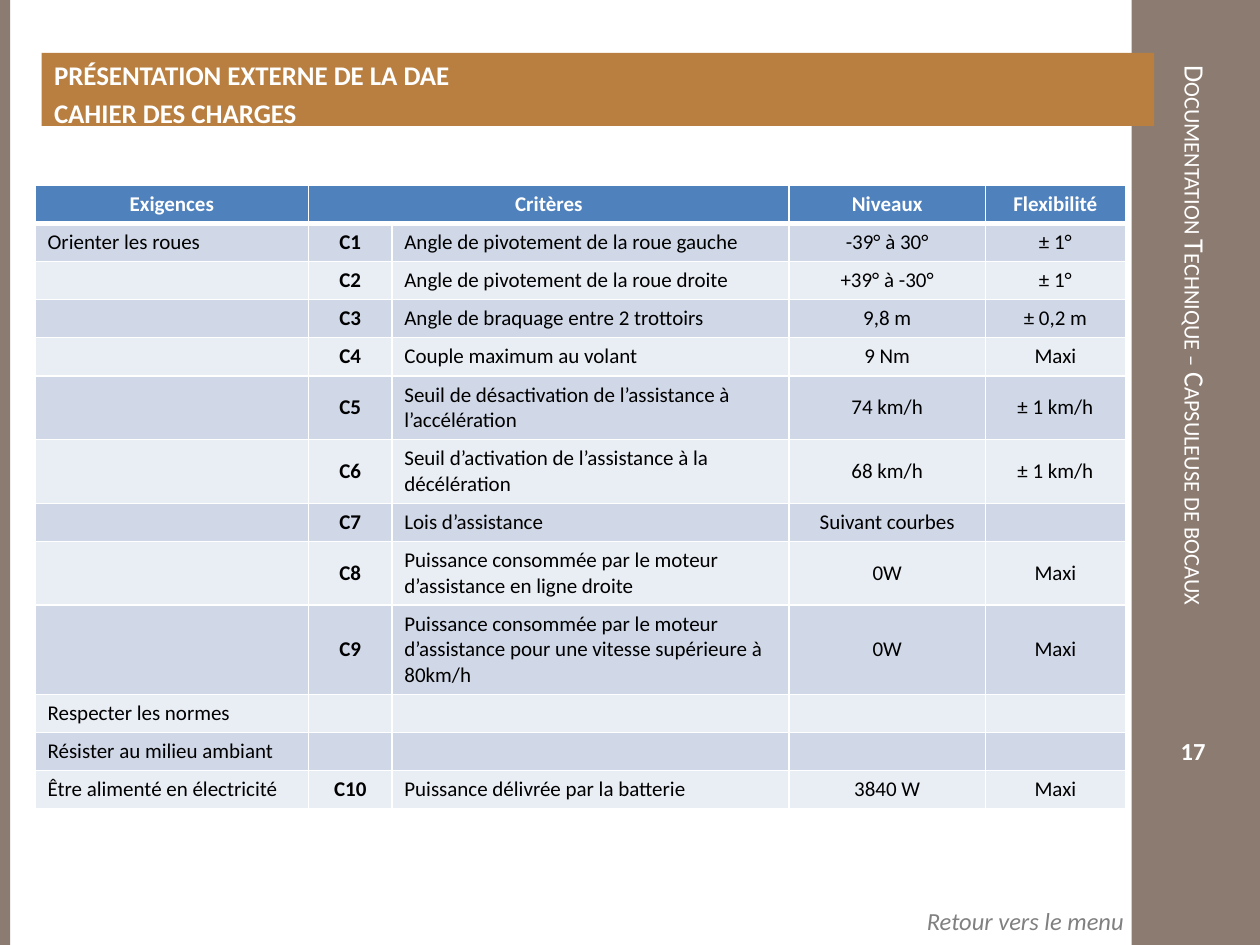
from lxml import etree
from pptx import Presentation
from pptx.dml.color import RGBColor
from pptx.enum.shapes import MSO_SHAPE
from pptx.enum.text import MSO_ANCHOR, PP_ALIGN
from pptx.oxml.ns import qn
from pptx.util import Pt

RECT = MSO_SHAPE.RECTANGLE
TOP, MIDDLE = MSO_ANCHOR.TOP, MSO_ANCHOR.MIDDLE
LEFT, CENTER, RIGHT = PP_ALIGN.LEFT, PP_ALIGN.CENTER, PP_ALIGN.RIGHT

WHITE, BLACK, GREY = "FFFFFF", "000000", "808080"
BROWN, OCHRE, BLUE = "8C7B70", "B87F40", "4F81BD"
BANDS = ("D0D8E8", "E9EDF4")
COL_WIDTHS = (156.4, 47.5, 227, 112.2, 80)
COL_ALIGN = (LEFT, CENTER, LEFT, CENTER, CENTER)
HEADERS = ("Exigences", "Critères", "", "Niveaux", "Flexibilité")
# Each row: text line count, then the five cells
ROWS = (
    (1, "Orienter les roues", "C1", "Angle de pivotement de la roue gauche", "-39° à 30°", "± 1°"),
    (1, "", "C2", "Angle de pivotement de la roue droite", "+39° à -30°", "± 1°"),
    (1, "", "C3", "Angle de braquage entre 2 trottoirs", "9,8 m", "± 0,2 m"),
    (1, "", "C4", "Couple maximum au volant", "9 Nm", "Maxi"),
    (2, "", "C5", "Seuil de désactivation de l’assistance à l’accélération", "74 km/h", "± 1 km/h"),
    (2, "", "C6", "Seuil d’activation de l’assistance à la décélération", "68 km/h", "± 1 km/h"),
    (1, "", "C7", "Lois d’assistance", "Suivant courbes", ""),
    (2, "", "C8", "Puissance consommée par le moteur d’assistance en ligne droite", "0W", "Maxi"),
    (3, "", "C9", "Puissance consommée par le moteur d’assistance pour une vitesse supérieure à 80km/h",
     "0W", "Maxi"),
    (1, "Respecter les normes", "", "", "", ""),
    (1, "Résister au milieu ambiant", "", "", "", ""),
    (1, "Être alimenté en électricité", "C10", "Puissance délivrée par la batterie", "3840 W", "Maxi"),
)


def rgb(value):
    return RGBColor.from_string(value)


def write(p, text, color, align=LEFT, **fmt):
    p.alignment = align
    r = p.add_run()
    r.text = text
    r.font.color.rgb = rgb(color)
    for name, value in {"name": "Calibri", **fmt}.items():
        setattr(r.font, name, value)
    return r


def add_rect(slide, box, color):
    sp = slide.shapes.add_shape(RECT, *map(Pt, box))
    sp.shadow.inherit = False
    sp.fill.solid()
    sp.fill.fore_color.rgb = rgb(color)
    sp.line.fill.background()
    return sp


def add_text(slide, box, text, color, anchor=MIDDLE, align=LEFT, **fmt):
    tf = slide.shapes.add_textbox(*map(Pt, box)).text_frame
    tf.word_wrap = True
    tf.vertical_anchor = anchor
    return tf, write(tf.paragraphs[0], text, color, align, **fmt)


def add_sidebar(slide, box):
    x, y, w, h = box
    add_rect(slide, box, BROWN)
    # Document name, turned to read downwards
    tf, r = add_text(slide, (x, y + 30.2, 73.4, 462.2),
                     "Documentation Technique – Capsuleuse de bocaux", WHITE, size=Pt(16))
    tf._txBody.bodyPr.set("vert", "vert")
    r._r.get_or_add_rPr().set("cap", "small")
    # Page number
    add_text(slide, (x - 2.9, y + 417.6, 76.3, 22.3), "17", WHITE,
             align=CENTER, size=Pt(14), bold=True)


def add_title(slide, box, lines):
    tf = add_rect(slide, box, OCHRE).text_frame
    tf.word_wrap = True
    tf.vertical_anchor = TOP
    for i, line in enumerate(lines):
        p = tf.add_paragraph() if i else tf.paragraphs[0]
        p.space_before = Pt(3)
        write(p, line, WHITE, size=Pt(15.4), bold=True)


def set_borders(cell, widths):
    tcPr = cell._tc.get_or_add_tcPr()
    for side, width in zip("LRTB", widths):
        ln = etree.SubElement(tcPr, qn(f"a:ln{side}"), w=str(Pt(width)))
        fill = etree.SubElement(ln, qn("a:solidFill"))
        etree.SubElement(fill, qn("a:srgbClr"), val=WHITE)


def fill_cell(cell, text, fill, borders, color, align, bold):
    set_borders(cell, borders)
    cell.fill.solid()
    cell.fill.fore_color.rgb = rgb(fill)
    cell.vertical_anchor = MIDDLE
    p = cell.text_frame.paragraphs[0]
    if text:
        write(p, text, color, align, size=Pt(12), bold=bold)
    else:
        etree.SubElement(p._p, qn("a:endParaRPr"), sz="1200")


def add_requirements(slide, box):
    tbl = slide.shapes.add_table(len(ROWS) + 1, len(COL_WIDTHS), *map(Pt, box)).table
    tbl.horz_banding = False
    for col, width in zip(tbl.columns, COL_WIDTHS):
        col.width = Pt(width)
    # Header
    tbl.rows[0].height = Pt(21.8)
    for j, text in enumerate(HEADERS):
        fill_cell(tbl.cell(0, j), text, BLUE, (1, 1, 1, 3), WHITE, CENTER, True)
    tbl.cell(0, 1).merge(tbl.cell(0, 2))
    # Body
    for i, (lines, *texts) in enumerate(ROWS, 1):
        tbl.rows[i].height = Pt(7.2 + 14.6 * lines)
        borders = (1, 1, 3 if i == 1 else 1, 1)
        for j, text in enumerate(texts):
            fill_cell(tbl.cell(i, j), text, BANDS[(i - 1) % 2], borders,
                      BLACK, COL_ALIGN[j], j == 1)


prs = Presentation()
prs.slide_width, prs.slide_height = Pt(720), Pt(540)
slide = prs.slides.add_slide(prs.slide_layouts[6])
add_sidebar(slide, (646.6, 0, 81.4, 540))
add_rect(slide, (0, 0, 5.8, 540), BROWN)
add_title(slide, (23.8, 30.2, 635.8, 41.8),
          ("PRÉSENTATION EXTERNE DE LA DAE", "CAHIER DES CHARGES"))
add_requirements(slide, (20, 105.8, 623.1, 356.8))
add_text(slide, (8.6, 514.1, 640.8, 24.5), "Retour vers le menu", GREY,
         TOP, RIGHT, size=Pt(14), italic=True)
prs.save("out.pptx")
